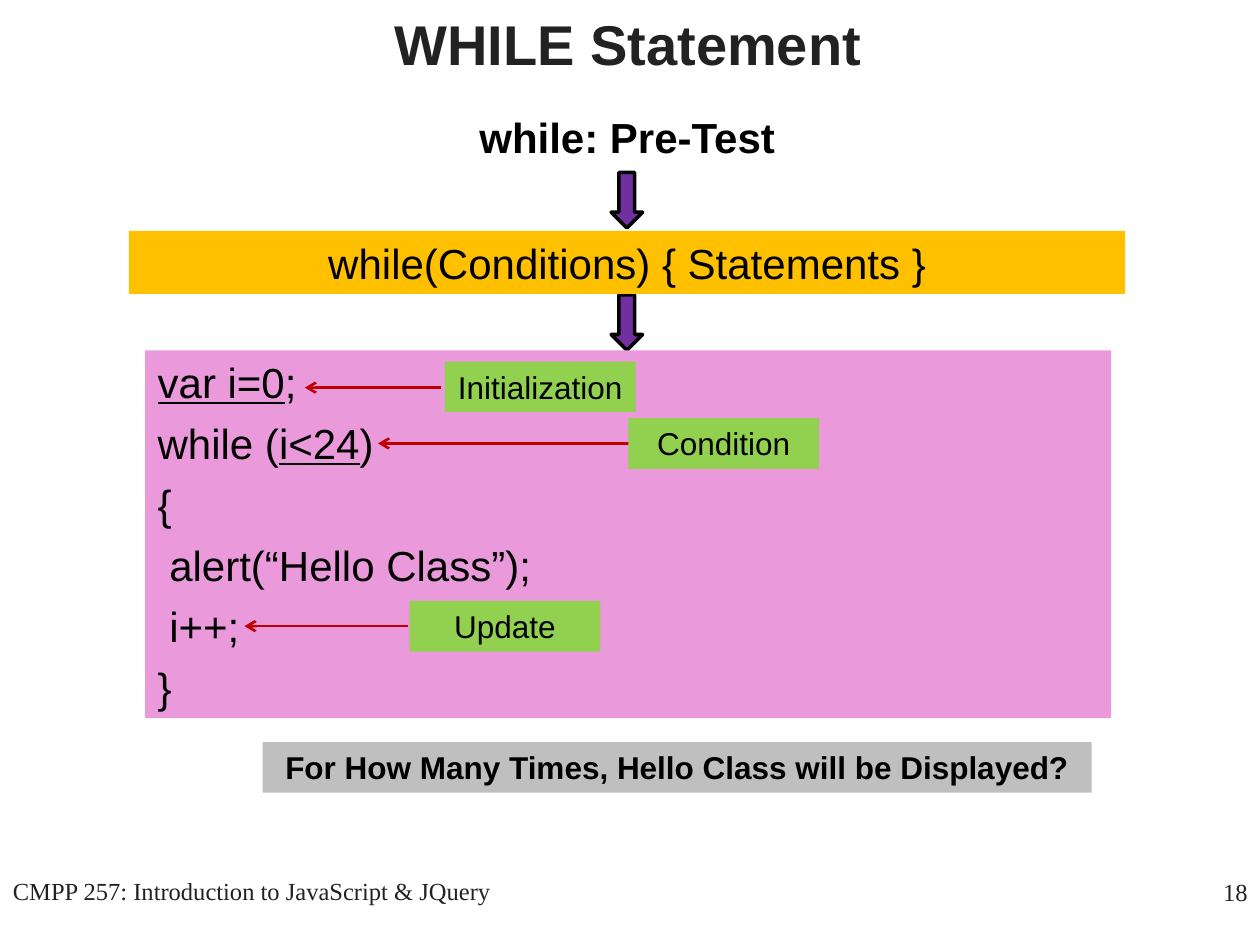
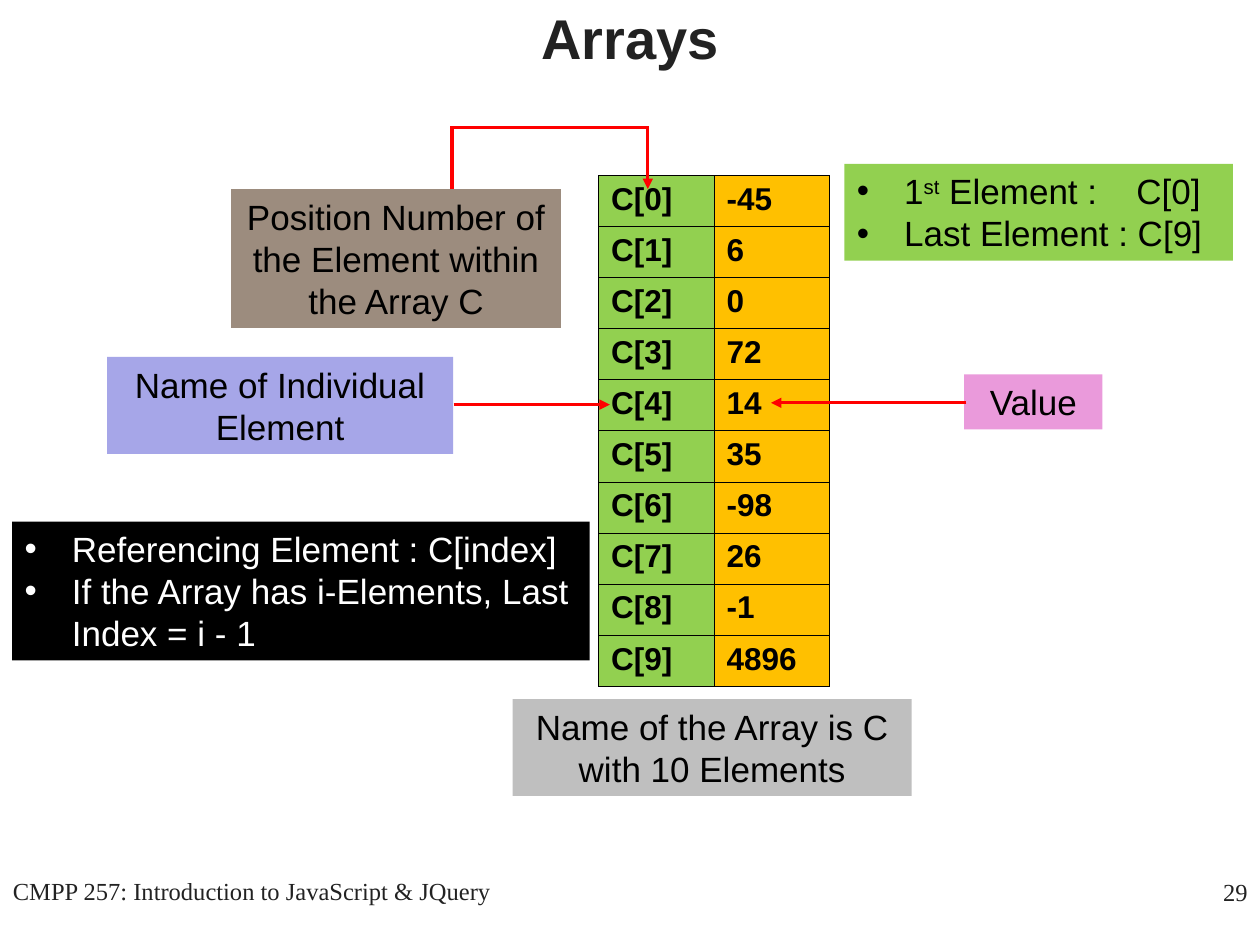
from lxml.etree import SubElement
from pptx import Presentation
from pptx.dml.color import RGBColor
from pptx.enum.shapes import MSO_CONNECTOR, MSO_SHAPE
from pptx.enum.text import MSO_ANCHOR, PP_ALIGN
from pptx.oxml.ns import qn
from pptx.util import Pt

BLACK = RGBColor(0x00, 0x00, 0x00)
WHITE = RGBColor(0xFF, 0xFF, 0xFF)
CHARCOAL = RGBColor(0x22, 0x22, 0x22)
PURPLE = RGBColor(0x70, 0x30, 0xA0)
AMBER = RGBColor(0xFF, 0xC0, 0x00)
PINK = RGBColor(0xEA, 0x9A, 0xDB)
GREEN = RGBColor(0x92, 0xD0, 0x50)
GRAY = RGBColor(0xBF, 0xBF, 0xBF)
BROWN = RGBColor(0x6E, 0x56, 0x42)
LAVENDER = RGBColor(0x85, 0x85, 0xE0)
DARK_RED = RGBColor(0xC0, 0x00, 0x00)
RED = RGBColor(0xFF, 0x00, 0x00)

SANS = "Arial"
SERIF = "Times New Roman"
COURSE = "CMPP 257: Introduction to JavaScript & JQuery"
BULLET_INDENT = 27
CODE_GAP = 6
ARRAY_VALUES = [-45, 6, 0, 72, 14, 35, -98, 26, -1, 4896]


def add_bullet(paragraph, color):
    properties = paragraph._p.get_or_add_pPr()
    properties.set("marL", str(Pt(BULLET_INDENT)))
    properties.set("indent", str(-Pt(BULLET_INDENT)))
    bullet_color = SubElement(properties, qn("a:buClr"))
    SubElement(bullet_color, qn("a:srgbClr"), val=str(color))
    SubElement(properties, qn("a:buFont"), typeface=SANS)
    SubElement(properties, qn("a:buChar"), char="•")


def write_text(frame, paragraphs, size=20, color=BLACK, font=SANS, bold=False,
               align=PP_ALIGN.CENTER, anchor=MSO_ANCHOR.TOP, gap=0, bullets=False):
    """Fill a text frame; a paragraph is a string or a list of (text, run attributes)."""
    frame.word_wrap = True
    frame.vertical_anchor = anchor
    for index, runs in enumerate(paragraphs):
        paragraph = frame.paragraphs[0] if index == 0 else frame.add_paragraph()
        paragraph.alignment = align
        if index and gap:
            paragraph.space_before = Pt(gap)
        if bullets:
            add_bullet(paragraph, color)
        for text, attributes in [(runs, {})] if isinstance(runs, str) else runs:
            run = paragraph.add_run()
            run.text = text
            run.font.name = font
            run.font.size = Pt(size)
            run.font.bold = bold
            run.font.color.rgb = color
            for name, value in attributes.items():
                run._r.get_or_add_rPr().set(name, value)


def add_text(slide, left, top, width, height, text, **text_format):
    box = slide.shapes.add_textbox(Pt(left), Pt(top), Pt(width), Pt(height))
    write_text(box.text_frame, [text], **text_format)


def add_filled_shape(slide, kind, left, top, width, height, fill):
    shape = slide.shapes.add_shape(kind, Pt(left), Pt(top), Pt(width), Pt(height))
    shape.shadow.inherit = False
    shape.fill.solid()
    shape.fill.fore_color.rgb = fill
    shape.line.fill.background()
    return shape


def add_panel(slide, left, top, width, height, fill, paragraphs, opacity=100, **text_format):
    panel = add_filled_shape(slide, MSO_SHAPE.RECTANGLE, left, top, width, height, fill)
    if opacity < 100:
        color = panel._element.spPr.find(qn("a:solidFill")).find(qn("a:srgbClr"))
        SubElement(color, qn("a:alpha"), val=str(opacity * 1000))
    write_text(panel.text_frame, paragraphs, **text_format)


def add_down_arrow(slide, top):
    arrow = add_filled_shape(slide, MSO_SHAPE.DOWN_ARROW, 349.2, top, 18, 31.7, PURPLE)
    arrow.line.color.rgb = BLACK
    arrow.line.width = Pt(2)


def add_line(slide, start, end, color=RED, width=1.75, arrowhead=None):
    points = [Pt(value) for value in (*start, *end)]
    connector = slide.shapes.add_connector(MSO_CONNECTOR.STRAIGHT, *points)
    connector.line.color.rgb = color
    connector.line.width = Pt(width)
    if arrowhead:
        SubElement(connector.line._get_or_add_ln(), qn("a:tailEnd"), type=arrowhead)
    SubElement(connector._element.spPr, qn("a:effectLst"))


def format_cell(cell, text, fill):
    write_text(cell.text_frame, [text], size=18, bold=True, align=PP_ALIGN.LEFT)
    cell.margin_left = cell.margin_right = Pt(7.2)
    cell.margin_top = cell.margin_bottom = Pt(3.6)
    properties = cell._tc.get_or_add_tcPr()
    for side in ("a:lnL", "a:lnR", "a:lnT", "a:lnB"):
        border = SubElement(properties, qn(side), w=str(Pt(0.45)))
        border_fill = SubElement(border, qn("a:solidFill"))
        SubElement(border_fill, qn("a:srgbClr"), val=str(BLACK))
    cell.fill.solid()
    cell.fill.fore_color.rgb = fill


def add_array_table(slide, left, top, column_width, row_height):
    rows = len(ARRAY_VALUES)
    table = slide.shapes.add_table(rows, 2, Pt(left), Pt(top), Pt(2 * column_width),
                                   Pt(rows * row_height)).table
    table.first_row = table.horz_banding = False
    for column in table.columns:
        column.width = Pt(column_width)
    for index, value in enumerate(ARRAY_VALUES):
        table.rows[index].height = Pt(row_height)
        format_cell(table.cell(index, 0), f"C[{index}]", GREEN)
        format_cell(table.cell(index, 1), str(value), AMBER)


def add_titled_slide(presentation, title, left, top, number):
    slide = presentation.slides.add_slide(presentation.slide_layouts[5])
    placeholder = slide.shapes.title
    placeholder.left, placeholder.top = Pt(left), Pt(top)
    placeholder.width, placeholder.height = Pt(635.8), Pt(90)
    write_text(placeholder.text_frame, [title], size=32, bold=True, color=CHARCOAL,
               anchor=MSO_ANCHOR.MIDDLE)
    footer = {"size": 14, "font": SERIF, "color": CHARCOAL}
    add_text(slide, 570.2, 497.5, 149.8, 36, number, align=PP_ALIGN.RIGHT, **footer)
    add_text(slide, 0, 496.8, 288, 36, COURSE, **footer)
    return slide


def build_while_slide(presentation):
    slide = add_titled_slide(presentation, "WHILE Statement", 41, -20.2, "18")
    for top in (98.6, 168.5):
        add_down_arrow(slide, top)
    add_text(slide, 250.4, 60, 216, 36, "while: Pre-Test", size=24, bold=True)
    add_panel(slide, 73.7, 132, 569.3, 36, AMBER, ["while(Conditions) { Statements }"], size=24)

    underlined = {"u": "sng"}
    code = [
        [("var i=0", underlined), (";", {})],
        [("while (", {}), ("i<24", underlined), (")", {})],
        "{",
        " alert(“Hello Class”);",
        " i++;",
        "}",
    ]
    add_panel(slide, 83, 200.2, 552, 210.2, PINK, code, size=24,
              align=PP_ALIGN.LEFT, gap=CODE_GAP)

    for label, left, top, arrow_start, arrow_end, arrow_y in (
        ("Initialization", 254.2, 206.6, 252, 174.2, 221.5),
        ("Condition", 359, 238.9, 378, 216, 253.4),
        ("Update", 234, 343.4, 233.3, 139.7, 357.8),
    ):
        add_line(slide, (arrow_start, arrow_y), (arrow_end, arrow_y),
                 color=DARK_RED, width=1.5, arrowhead="arrow")
        add_panel(slide, left, top, 109, 29, GREEN, [label], size=18)

    add_panel(slide, 150, 424, 473.8, 29, GRAY,
              ["For How Many Times, Hello Class will be Displayed?"], size=18, bold=True)


def build_arrays_slide(presentation):
    slide = add_titled_slide(presentation, "Arrays", 42, -23.8, "29")
    add_array_table(slide, 342, 100.2, 66, 29.2)
    add_panel(slide, 293, 399.5, 228, 55.4, GRAY, ["Name of the Array is C with 10 Elements"])

    add_panel(slide, 132, 108, 188.6, 79.4, BROWN,
              ["Position Number of the Element within the Array C"], opacity=68)
    add_line(slide, (258.3, 108), (258.3, 72))
    add_line(slide, (258.3, 72.7), (370, 72.7))
    add_line(slide, (370.2, 72), (370.2, 108), arrowhead="triangle")

    add_line(slide, (259.2, 231.2), (348.5, 231.2), arrowhead="triangle")
    add_panel(slide, 61.2, 204, 197.8, 55.4, LAVENDER, ["Name of Individual Element"],
              opacity=72)
    add_panel(slide, 551, 214, 79, 31.4, PINK, ["Value"])
    add_line(slide, (552.2, 230.2), (440.6, 230.2), arrowhead="triangle")

    bulleted = {"bullets": True, "align": PP_ALIGN.LEFT}
    first_element = [("1", {}), ("st", {"baseline": "30000"}), (" Element :", {}),
                     (" ", {"spc": "1670"}), ("C[0]", {})]
    add_panel(slide, 482.6, 93.6, 222, 55.4, GREEN,
              [first_element, "Last Element : C[9]"], **bulleted)
    add_panel(slide, 7, 298, 330, 79.4, BLACK,
              ["Referencing Element : C[index]",
               "If the Array has i-Elements, Last Index = i - 1"], color=WHITE, **bulleted)


def main():
    presentation = Presentation()
    presentation.slide_width, presentation.slide_height = Pt(720), Pt(540)
    build_while_slide(presentation)
    build_arrays_slide(presentation)
    presentation.save("out.pptx")


if __name__ == "__main__":
    main()
